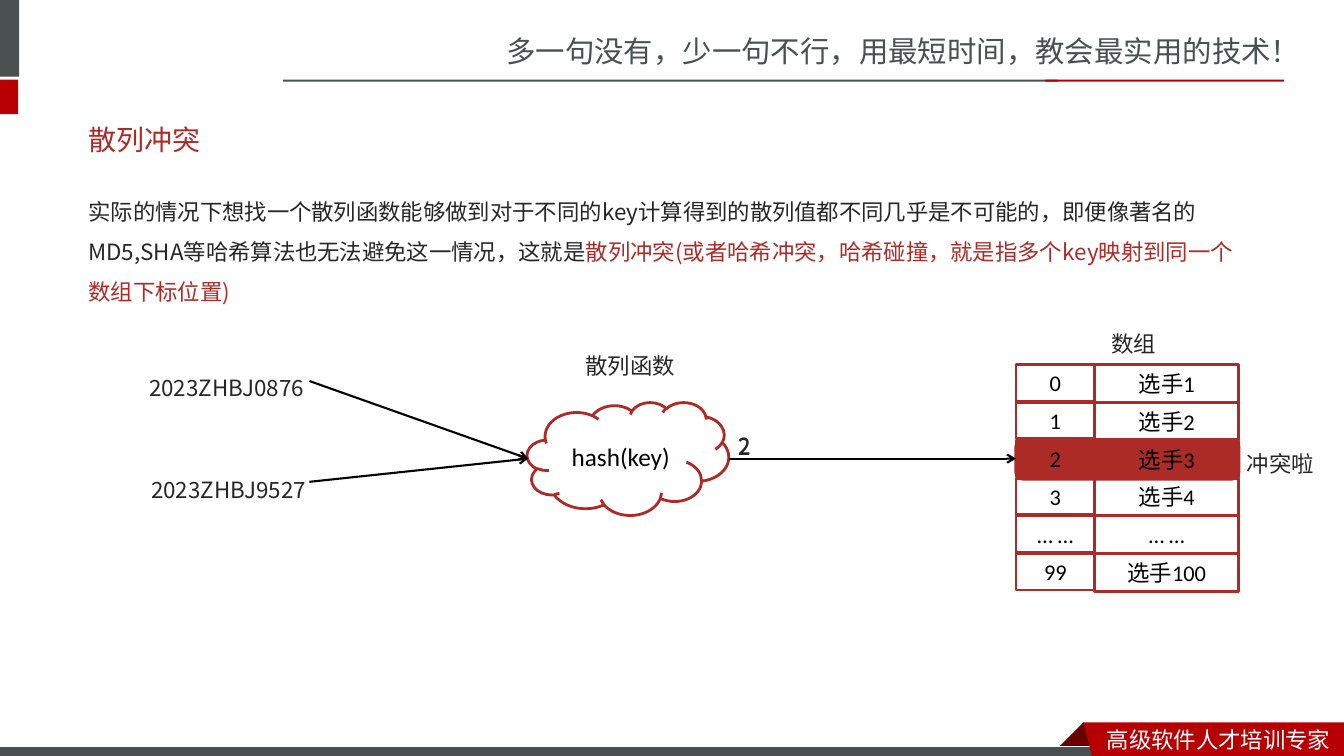
from pptx import Presentation
from pptx.dml.color import RGBColor
from pptx.enum.shapes import MSO_CONNECTOR, MSO_SHAPE
from pptx.enum.text import MSO_ANCHOR, PP_ALIGN
from pptx.oxml.ns import qn
from pptx.util import Inches, Pt
from lxml import etree

RECT, ROUND, CLOUD = MSO_SHAPE.RECTANGLE, MSO_SHAPE.ROUNDED_RECTANGLE, MSO_SHAPE.CLOUD
LINE = MSO_CONNECTOR.STRAIGHT
TOP, MID = MSO_ANCHOR.TOP, MSO_ANCHOR.MIDDLE
LEFT, CENTER = PP_ALIGN.LEFT, PP_ALIGN.CENTER
GREY, RED, DARK = "49504F", "B60004", "680000"
BRICK, INK, BLACK, WHITE = "AD2B26", "262626", "000000", "FFFFFF"
LATIN, SC, JP = "Calibri", "Noto Sans CJK SC", "Noto Sans CJK JP"

# The slide is a grid of 160 columns by 90 rows
COLS, ROWS = 160, 90
UNIT = Inches(1 / 12)


def u(n):
    return round(n * UNIT)


def color(code):
    return RGBColor.from_string(code)


def paint(shape, fill=None, line=None, width=1.0):
    shape.shadow.inherit = False
    if fill:
        shape.fill.solid()
        shape.fill.fore_color.rgb = color(fill)
    else:
        shape.fill.background()
    if line:
        shape.line.color.rgb = color(line)
        shape.line.width = Pt(width)
    else:
        shape.line.fill.background()
    return shape


def block(slide, kind, x, y, w, h, **look):
    return paint(slide.shapes.add_shape(kind, u(x), u(y), u(w), u(h)), **look)


def outline(slide, pts, fill):
    build = slide.shapes.build_freeform(*pts[0], scale=UNIT)
    build.add_line_segments(pts[1:], close=True)
    return paint(build.convert_to_shape(), fill)


def write(shape, *runs, size=16, font=JP, ink=INK, align=LEFT, anchor=TOP,
          space=None, wrap=True):
    """Each run is a string, or a pair of string and colour."""
    frame = shape.text_frame
    frame.word_wrap = wrap
    frame.vertical_anchor = anchor
    para = frame.paragraphs[0]
    para.alignment = align
    if space:
        para.line_spacing = space
    for item in runs:
        words, tint = item if isinstance(item, tuple) else (item, ink)
        run = para.add_run()
        run.text = words
        run.font.name = font
        run.font.size = Pt(size)
        run.font.color.rgb = color(tint)
        east = etree.SubElement(run._r.get_or_add_rPr(), qn("a:ea"))
        east.set("typeface", SC if font == LATIN else font)
    return shape


def label(slide, x, y, w, h, *runs, **form):
    return write(slide.shapes.add_textbox(u(x), u(y), u(w), u(h)), *runs, **form)


def arrow(slide, x1, y1, x2, y2):
    link = slide.shapes.add_connector(LINE, u(x1), u(y1), u(x2), u(y2))
    link.line.color.rgb = color(BLACK)
    link.line.width = Pt(1.5)
    etree.SubElement(link.line._get_or_add_ln(), qn("a:tailEnd")).set("type", "arrow")
    etree.SubElement(link._element.spPr, qn("a:effectLst"))
    return link


def header(slide, x, y, w):
    label(slide, x + w - 100.9, y + 3.36, 100.9, 5.64,
          "多一句没有，少一句不行，用最短时间，教会最实用的技术！",
          size=21, font=SC, ink=GREY, wrap=False)
    block(slide, RECT, x - 0.72, y, 3, 9.12, fill=GREY)
    block(slide, RECT, x - 0.72, y + 9.48, 2.88, 4.1, fill=RED)
    # Two-tone rule
    block(slide, RECT, x + 33.7, y + 9.48, 92.2, 0.24, fill=GREY)
    block(slide, RECT, x + 124.44, y + 9.48, 28.44, 0.24, fill=RED)


def footer(slide, x, y, w, h):
    right, foot = x + w, y + h
    tip = (right - 31.24, y)
    outline(slide, [tip, (right - 28.6, foot - 0.96), (right - 28.7, foot - 0.84),
                    (right - 33.8, foot - 0.84), (right - 33.9, foot - 0.96)], DARK)
    block(slide, RECT, x - 0.12, foot - 1.08, 132, 1.44,
          fill=GREY, line=WHITE, width=0.75)
    outline(slide, [tip, (right, y), (right, foot + 0.4), (right - 29.7, foot + 0.4)], RED)
    label(slide, right - 29.4, y - 0.6, 29.4, 4.44, "高级软件人才培训专家",
          font=SC, ink=WHITE, wrap=False)


def lesson(slide, x, y, w):
    label(slide, x, y, w, 6.84, "散列冲突", size=20, font=LATIN, ink="AD2A26", anchor=MID)
    label(slide, x, y + 8.16, w, 17.4,
          "实际的情况下想找一个散列函数能够做到对于不同的key计算得到的散列值都不同几乎是"
          "不可能的，即便像著名的MD5,SHA等哈希算法也无法避免这一情况，这就是",
          ("散列冲突(或者哈希冲突，哈希碰撞，就是指多个key映射到同一个数组下标位置)", BRICK),
          space=1.5)


def array(slide, x, y, w, hit):
    """Draw the array and return the index cell of the row that is hit."""
    step, left = 4.5, 9.36
    rows = [("0", "选手1"), ("1", "选手2"), ("2", "选手3"),
            ("3", "选手4"), ("… …", "… …"), ("99", "选手100")]
    block(slide, ROUND, x, y + hit * step - 0.1, w, 4.68,
          fill=BRICK, line=BRICK, width=2.25)
    label(slide, x + 10.2, y - 6.36, 15.36, 6.24, "数组", space=1.5)
    keys = []
    for i, (key, name) in enumerate(rows):
        top = y + i * step
        cells = [(x, left, 4.32, key), (x + left, w - left, 4.44, name)]
        for at, wide, high, words in cells:
            cell = block(slide, RECT, at, top, wide, high, line=BRICK, width=2)
            write(cell, words, font=LATIN, ink=BLACK, align=CENTER, anchor=MID)
            if at == x:
                keys.append(cell)
    label(slide, x + w - 0.24, y + hit * step - 1.08, 12.24, 6.24, "冲突啦", space=1.5)
    return keys[hit]


def diagram(slide, x, y):
    # Hash function
    mid = y + 17.52
    cloud = block(slide, CLOUD, x + 46.2, mid - 6.72, 24, 13.44, line=BRICK, width=2)
    write(cloud, "hash(key)", size=18, font=LATIN, ink=BLACK, align=CENTER, anchor=MID)
    label(slide, x + 51.96, y + 2.64, 20.4, 6.24, "散列函数", space=1.5)
    # Two keys that meet
    inputs = [("2023ZHBJ0876", 0, 5.28, 8.28), ("2023ZHBJ9527", 0.24, 17.4, 20.28)]
    for key, shift, top, start in inputs:
        label(slide, x + shift, y + top, 30.96, 6.24, key, space=1.5)
        arrow(slide, x + 20.28, y + start, x + 46.32, mid)
    # Array slot they share
    slot = array(slide, x + 104.4, y + 6.36, 26.52, 2)
    arrow(slide, x + 70.2, mid, x + 104.4, mid).end_connect(slot, 1)
    for top in (12.24, 12.12):
        label(slide, x + 70.2, y + top, 5.28, 6.24, "2", space=1.5)


def main():
    deck = Presentation()
    deck.slide_width, deck.slide_height = u(COLS), u(ROWS)
    slide = deck.slides.add_slide(deck.slide_layouts[6])
    header(slide, 0, 0, COLS)
    footer(slide, 0, 86.4, COLS, 3.6)
    lesson(slide, 9.36, 13.2, 140.4)
    diagram(slide, 16.56, 37.08)
    deck.save("out.pptx")


if __name__ == "__main__":
    main()
